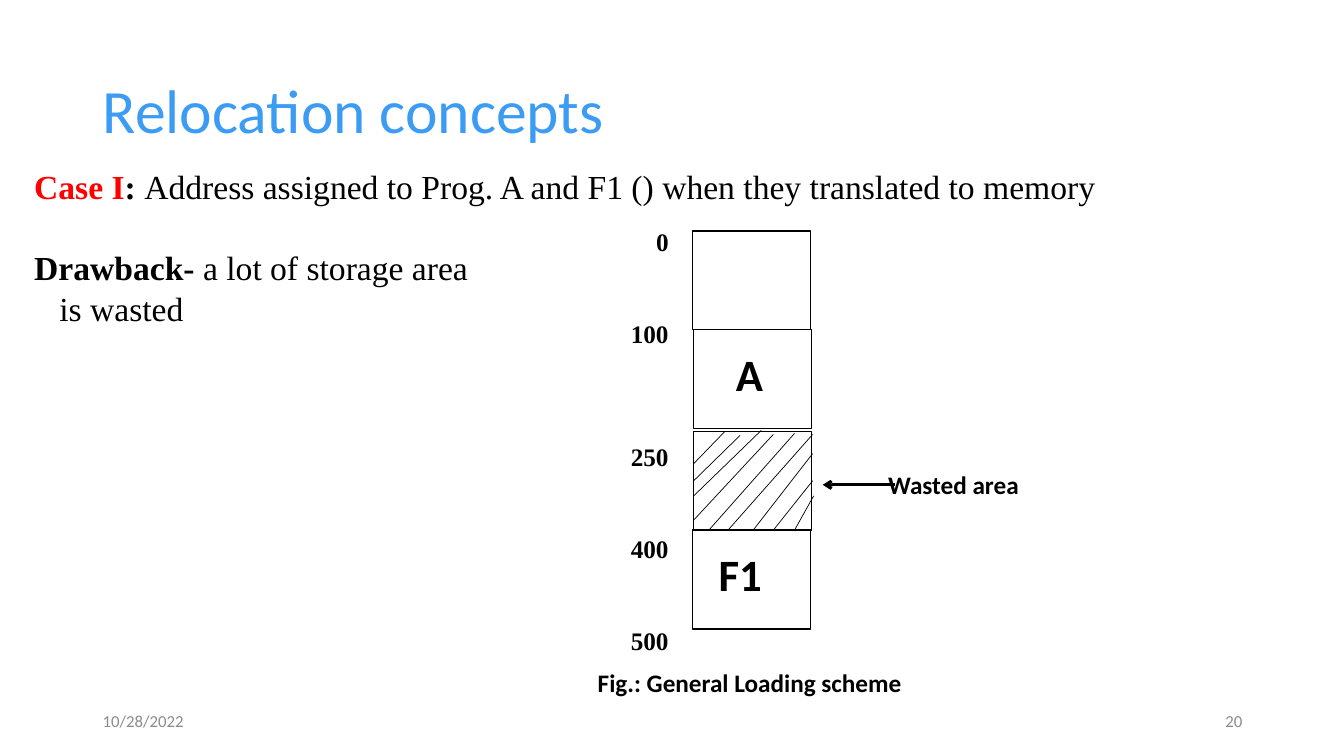
"""Build the slide on relocation concepts and the general loading scheme."""
from dataclasses import dataclass
from typing import Any, NamedTuple

import pptx
import pptx.dml.color
import pptx.enum.shapes
import pptx.enum.text
import pptx.oxml
import pptx.oxml.ns
import pptx.util

PX = 9144
BLACK, RED, BLUE, GRAY = "000000", "FF0000", "3C9CF4", "8C8C8C"
SERIF, SANS = "Times New Roman", "Calibri"
ALIGN = pptx.enum.text.PP_ALIGN
ANCHOR = pptx.enum.text.MSO_ANCHOR


class Run(NamedTuple):
    text: str
    bold: bool = False
    color: str = BLACK


class Para(NamedTuple):
    runs: list[Run]
    before: int = 0
    indent: int = 0


@dataclass
class Text:
    box: tuple[int, int, int, int]
    paras: list[Para]
    size: int
    font: str = SANS
    align: Any = ALIGN.LEFT
    anchor: Any = ANCHOR.TOP
    spacing: float = 1.0


@dataclass
class Line:
    start: tuple[int, int]
    end: tuple[int, int]
    width: float = 0.5
    arrow: bool = False


def emu(*px: int) -> list[int]:
    return [v * PX for v in px]


def rgb(color: str) -> pptx.dml.color.RGBColor:
    return pptx.dml.color.RGBColor.from_string(color)


def apply(target: Any, values: dict[str, Any]) -> None:
    for name, value in values.items():
        setattr(target, name, value)


def single(text: str, bold: bool = False, color: str = BLACK) -> list[Para]:
    return [Para([Run(text, bold, color)])]


def draw_text(s: Any, t: Text) -> None:
    tf = s.shapes.add_textbox(*emu(*t.box)).text_frame
    apply(tf, {"word_wrap": True, "vertical_anchor": t.anchor})
    for i, para in enumerate(t.paras):
        p = tf.add_paragraph() if i else tf.paragraphs[0]
        apply(p, {"alignment": t.align, "line_spacing": t.spacing})
        if para.before:
            p.space_before = pptx.util.Pt(para.before)
        if para.indent:
            p._p.get_or_add_pPr().set("marL", str(para.indent * PX))
        for run in para.runs:
            r = p.add_run()
            r.text = run.text
            apply(r.font, {"name": t.font, "size": pptx.util.Pt(t.size), "bold": run.bold})
            r.font.color.rgb = rgb(run.color)


def draw_block(s: Any, left: int, top: int, width: int, height: int) -> None:
    sp = s.shapes.add_shape(pptx.enum.shapes.MSO_SHAPE.RECTANGLE, *emu(left, top, width, height))
    sp.shadow.inherit = False
    sp.fill.background()
    sp.line.color.rgb = rgb(BLACK)
    sp.line.width = pptx.util.Pt(1)


def draw_line(s: Any, line: Line) -> None:
    c = s.shapes.add_connector(
        pptx.enum.shapes.MSO_CONNECTOR.STRAIGHT, *emu(*line.start, *line.end))
    c.line.color.rgb = rgb(BLACK)
    c.line.width = pptx.util.Pt(line.width)
    ns = pptx.oxml.ns.nsdecls("a")
    if line.arrow:
        c.line._get_or_add_ln().append(pptx.oxml.parse_xml(f'<a:tailEnd {ns} type="arrow"/>'))
    c._element.spPr.append(pptx.oxml.parse_xml(f"<a:effectLst {ns}/>"))


TEXTS = [
    Text((92, 40, 1150, 145), single("Relocation concepts", color=BLUE), 44,
         anchor=ANCHOR.MIDDLE, spacing=0.9),
    Text((92, 695, 300, 40), single("10/28/2022", color=GRAY), 12, anchor=ANCHOR.MIDDLE),
    Text((942, 695, 300, 40), single("20", color=GRAY), 12,
         align=ALIGN.RIGHT, anchor=ANCHOR.MIDDLE),
    Text((24, 160, 1309, 172), [
        Para([Run("Case I", True, RED), Run(": ", True),
              Run("Address assigned to Prog. A and F1 () when they translated to memory")]),
        Para([Run("Drawback- ", True), Run("a lot of storage area")], before=29),
        Para([Run("is wasted")], indent=25),
    ], 24, SERIF),
    Text((606, 220, 67, 434), [
        Para([Run(address, True)], before=gap)
        for address, gap in [("0", 0), ("100", 44), ("250", 66), ("400", 44), ("500", 44)]
    ], 18, SERIF, ALIGN.RIGHT),
    Text((703, 537, 113, 64), single("F1", True), 32),
    Text((720, 339, 64, 64), single("A", True), 32),
    Text((583, 657, 522, 40), single("Fig.: General Loading scheme", True), 18),
    Text((871, 461, 222, 40), single("Wasted area", True), 18),
]

BLOCK_W, BLOCK_H = 117, 98
BLOCKS = [(687, 229), (688, 327), (688, 428), (687, 526)]
HATCH = [
    Line((719, 428), (688, 460)),
    Line((734, 432), (688, 477)),
    Line((755, 427), (688, 492)),
    Line((767, 431), (688, 516)),
    Line((788, 430), (703, 526)),
    Line((806, 431), (722, 526)),
    Line((806, 450), (747, 526)),
    Line((806, 477), (767, 526)),
    Line((807, 492), (788, 526)),
]
WASTED_ARROW = Line((888, 481), (816, 481), 2, True)


def main() -> None:
    prs = pptx.Presentation()
    prs.slide_width, prs.slide_height = emu(1333, 750)
    s = prs.slides.add_slide(prs.slide_layouts[6])
    for left, top in BLOCKS:
        draw_block(s, left, top, BLOCK_W, BLOCK_H)
    for line in [*HATCH, WASTED_ARROW]:
        draw_line(s, line)
    for text in TEXTS:
        draw_text(s, text)
    prs.save("out.pptx")


if __name__ == "__main__":
    main()
